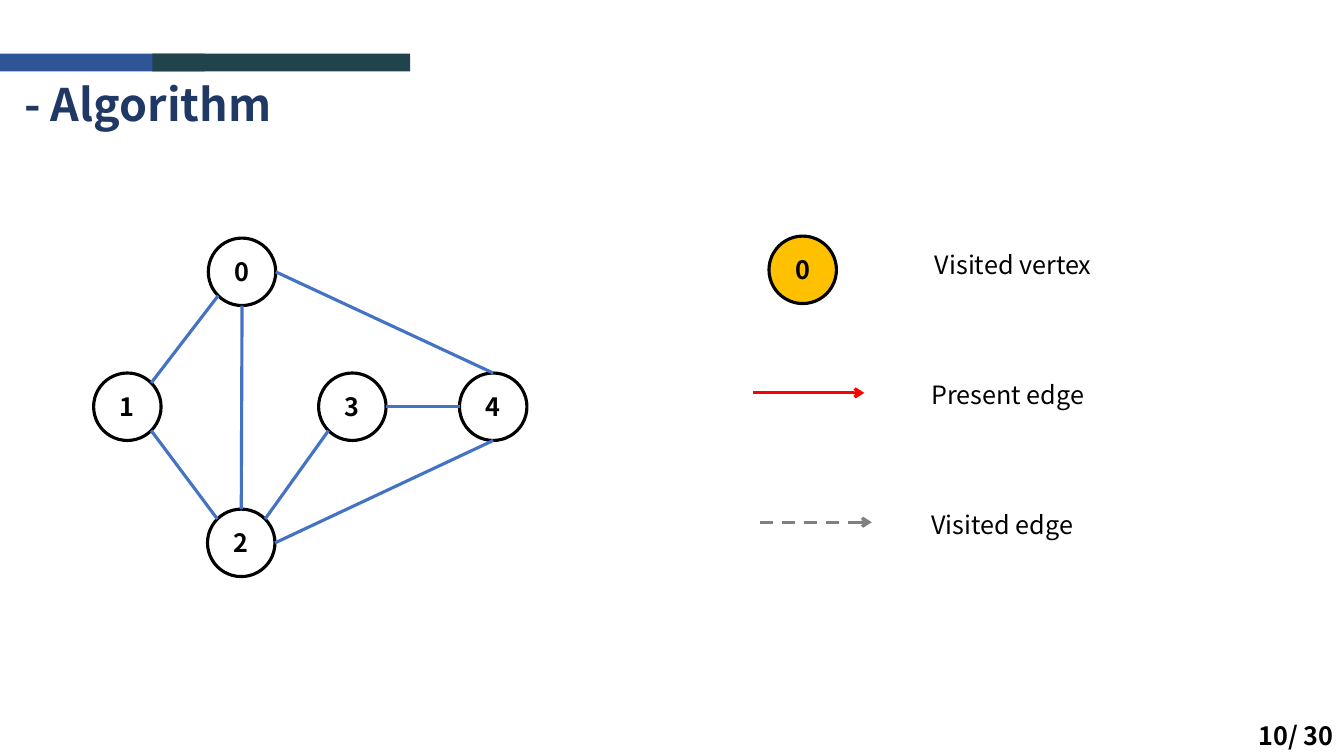
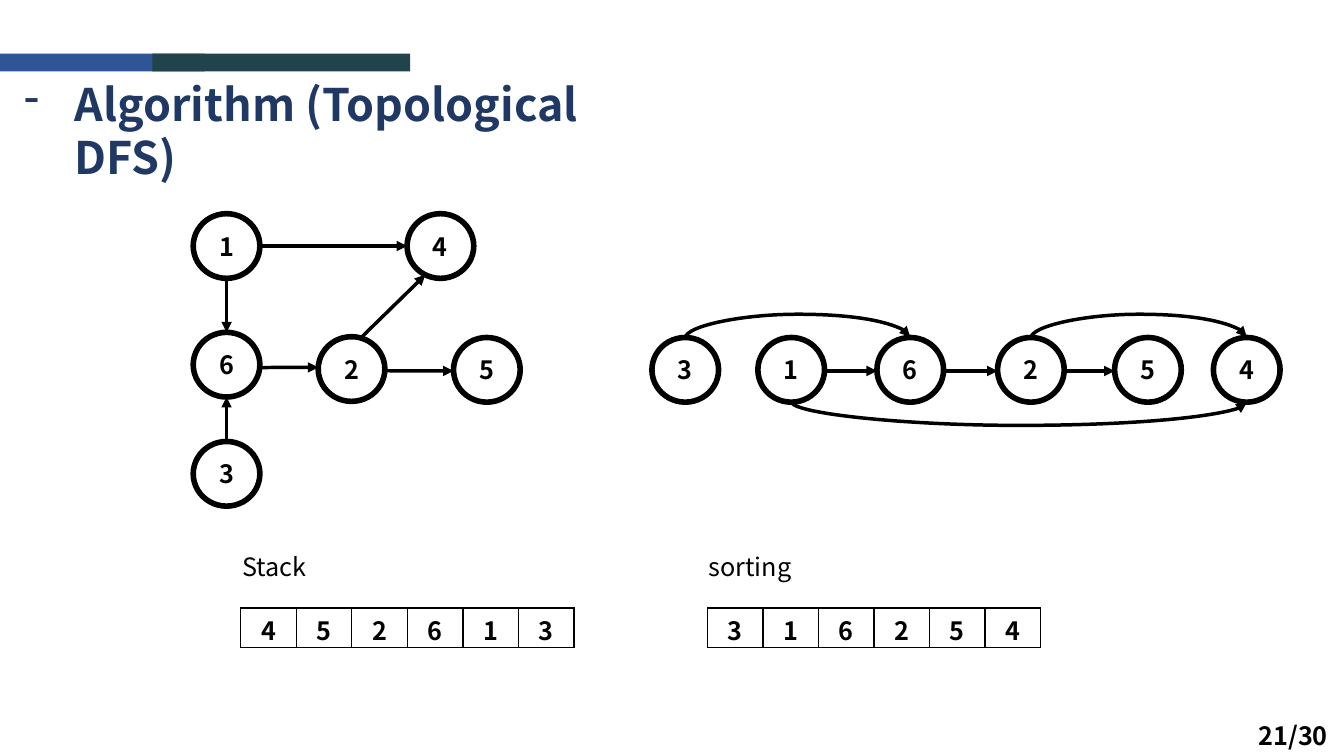
import math
from dataclasses import dataclass

import pptx
import pptx.dml.color
import pptx.enum.dml
import pptx.enum.shapes
import pptx.enum.text
import pptx.oxml
import pptx.oxml.ns
import pptx.util
from pptx.util import Cm, Pt

FONT = "Noto Sans CJK KR"
COLORS = {
    "title": "203864",
    "band_blue": "2F5597",
    "band_green": "21434B",
    "black": "000000",
    "white": "FFFFFF",
    "edge": "4472C4",
    "visited": "FFC000",
    "present": "FF0000",
    "grey": "808080",
}
# Angles on a node's outline, clockwise from the right
E, SE, S, SW, W, NW, N, NE = range(0, 360, 45)
ARC_HEIGHT, ARC_BOX = 0.6, 0.03


@dataclass(frozen=True)
class NodeStyle:
    width: float
    height: float
    line: float
    fill: str | None = None


@dataclass(frozen=True)
class Node:
    label: str
    x: float
    y: float
    style: NodeStyle

    def point(self, angle: int) -> tuple[float, float]:
        a = math.radians(angle)
        return (self.x + self.style.width / 2 * math.cos(a),
                self.y + self.style.height / 2 * math.sin(a))


@dataclass(frozen=True)
class Edge:
    start: str
    start_angle: int
    end: str
    end_angle: int


@dataclass(frozen=True)
class LineStyle:
    color: str
    width: float
    head: str | None = None
    dashed: bool = False


PLAIN = NodeStyle(1.7, 1.7, 2.25, "white")
VISITED = NodeStyle(1.7, 1.7, 2.25, "visited")
BOLD = NodeStyle(1.68, 1.63, 4)
EDGE = LineStyle("edge", 2.25)
ARROW = LineStyle("black", 2.5, "triangle")


def rgb(name: str):
    return pptx.dml.color.RGBColor.from_string(COLORS[name])


def add_xml(parent, tag: str, **attrs: str):
    return pptx.oxml.ns.qn(tag) and parent.makeelement(
        pptx.oxml.ns.qn(tag), attrs)


def append(parent, tag: str, **attrs: str):
    element = add_xml(parent, tag, **attrs)
    parent.append(element)
    return element


def write(tf, text: str, size: float = 18, color: str = "black",
          bold: bool = False, centred: bool = False) -> None:
    p = tf.paragraphs[0]
    p.text = text
    if centred:
        p.alignment = pptx.enum.text.PP_ALIGN.CENTER
    for r in p.runs:
        r.font.name, r.font.size, r.font.bold = FONT, Pt(size), bold
        r.font.color.rgb = rgb(color)


def add_text(s, x: float, y: float, w: float, h: float, text: str, **style):
    tf = s.shapes.add_textbox(Cm(x), Cm(y), Cm(w), Cm(h)).text_frame
    tf.word_wrap = True
    write(tf, text, **style)
    return tf


def add_node(s, node: Node):
    st = node.style
    sp = s.shapes.add_shape(
        pptx.enum.shapes.MSO_SHAPE.OVAL, Cm(node.x - st.width / 2),
        Cm(node.y - st.height / 2), Cm(st.width), Cm(st.height))
    sp.shadow.inherit = False
    if st.fill:
        sp.fill.solid()
        sp.fill.fore_color.rgb = rgb(st.fill)
    else:
        sp.fill.background()
    sp.line.color.rgb = rgb("black")
    sp.line.width = Pt(st.line)
    tf = sp.text_frame
    tf.margin_left = tf.margin_right = tf.margin_top = tf.margin_bottom = 0
    tf.vertical_anchor = pptx.enum.text.MSO_ANCHOR.MIDDLE
    write(tf, node.label, bold=True, centred=True)
    return sp


def style_line(c, style: LineStyle) -> None:
    c.line.color.rgb = rgb(style.color)
    c.line.width = Pt(style.width)
    if style.dashed:
        c.line.dash_style = pptx.enum.dml.MSO_LINE.DASH
    if style.head:
        append(c.line._get_or_add_ln(), "a:tailEnd", type=style.head)
    append(c._element.spPr, "a:effectLst")


def add_line(s, start: tuple[float, float], end: tuple[float, float],
             style: LineStyle) -> None:
    c = s.shapes.add_connector(pptx.enum.shapes.MSO_CONNECTOR.STRAIGHT,
                               *(Cm(v) for v in (*start, *end)))
    style_line(c, style)


def add_arc(s, start: Node, end: Node, side: int, ends: tuple) -> None:
    """Curved arrow over (N) or under (S) the nodes between two ends."""
    (x1, y), (x2, _) = start.point(side), end.point(side)
    middle, span = (x1 + x2) / 2, x2 - x1
    left = middle - ARC_BOX / 2
    c = s.shapes.add_connector(
        pptx.enum.shapes.MSO_CONNECTOR.CURVE, Cm(left), Cm(y - span / 2),
        Cm(left + ARC_BOX), Cm(y + span / 2))
    xfrm = c._element.spPr.find(pptx.oxml.ns.qn("a:xfrm"))
    xfrm.set("rot", str((90 if side == N else 270) * 60000))
    xfrm.set("flipH", "1")
    if side == N:
        xfrm.set("flipV", "1")
    guides = c._element.spPr.prstGeom.get_or_add_avLst()
    append(guides, "a:gd", name="adj1",
           fmla=f"val {round(ARC_HEIGHT / ARC_BOX * 100000)}")
    glue = c._element.nvCxnSpPr.cNvCxnSpPr
    for tag, sp in zip(("a:stCxn", "a:endCxn"), ends):
        append(glue, tag, id=str(sp.shape_id), idx="0" if side == N else "4")
    style_line(c, ARROW)


def add_graph(s, nodes: list[Node], edges: list[Edge], style: LineStyle,
              arcs: tuple[tuple[str, str, int], ...] = ()) -> None:
    by_label = {n.label: n for n in nodes}
    shapes = {n.label: add_node(s, n) for n in nodes}
    for e in edges:
        add_line(s, by_label[e.start].point(e.start_angle),
                 by_label[e.end].point(e.end_angle), style)
    for a, b, side in arcs:
        add_arc(s, by_label[a], by_label[b], side, (shapes[a], shapes[b]))


def add_list(s, x: float, label: str, values: str) -> None:
    """Caption above a one-row table of single digits."""
    add_text(s, x - 0.22, 13.77, 7.06, 1.02, label)
    table = s.shapes.add_table(1, len(values), Cm(x), Cm(15.32),
                               Cm(1.4 * len(values)), Cm(1)).table
    table.first_row = table.horz_banding = False
    for cell, value in zip(table.rows[0].cells, values):
        cell.margin_left = cell.margin_right = Cm(0.18)
        cell.margin_top = cell.margin_bottom = Cm(0.09)
        cell.vertical_anchor = pptx.enum.text.MSO_ANCHOR.MIDDLE
        write(cell.text_frame, value, bold=True, centred=True)
        tcPr = cell._tc.get_or_add_tcPr()
        for side in ("L", "R", "T", "B"):
            ln = append(tcPr, f"a:ln{side}", w=str(Pt(1)))
            append(append(ln, "a:solidFill"), "a:srgbClr",
                   val=COLORS["black"])
        cell.fill.background()


def add_base(prs, title: str, title_width: float, page: str,
             bullet: bool = False):
    """New slide with title, double band and page number."""
    s = prs.slides.add_slide(prs.slide_layouts[6])
    tf = add_text(s, 0.36, 1.8, title_width, 1.62, title, size=32,
                  color="title", bold=True)
    if bullet:
        pPr = tf.paragraphs[0]._p.get_or_add_pPr()
        pPr.set("marL", str(Cm(1.27)))
        pPr.set("indent", str(Cm(-1.27)))
        append(pPr, "a:buFontTx")
        append(pPr, "a:buChar", char="-")
    for x, w, color in ((0, 5.16, "band_blue"), (3.84, 6.5, "band_green")):
        sp = s.shapes.add_shape(pptx.enum.shapes.MSO_SHAPE.RECTANGLE,
                                Cm(x), Cm(1.35), Cm(w), Cm(0.45))
        sp.shadow.inherit = False
        sp.fill.solid()
        sp.fill.fore_color.rgb = rgb(color)
        sp.line.fill.background()
    add_text(s, 31.47, 18.03, 2.82, 1.02, page, bold=True)
    return s


def build_legend_slide(prs) -> None:
    s = add_base(prs, "- Algorithm", 14.2, "10/ 30")
    # Undirected graph
    nodes = [Node("1", 3.21, 10.25, PLAIN), Node("3", 8.88, 10.25, PLAIN),
             Node("2", 6.08, 13.68, PLAIN), Node("4", 12.43, 10.25, PLAIN),
             Node("0", 6.1, 6.85, PLAIN)]
    edges = [Edge("1", SE, "2", NW), Edge("2", NE, "3", SW),
             Edge("0", S, "2", N), Edge("0", E, "4", N),
             Edge("2", E, "4", S), Edge("3", E, "4", W),
             Edge("0", SW, "1", NE)]
    add_graph(s, nodes, edges, EDGE)
    # Legend
    add_node(s, Node("0", 20.23, 6.8, VISITED))
    add_line(s, (18.97, 9.9), (21.78, 9.9),
             LineStyle("present", 2.25, "arrow"))
    add_line(s, (19.16, 13.16), (21.97, 13.16),
             LineStyle("grey", 2.25, "arrow", dashed=True))
    for x, y, text in ((23.31, 6.17, "Visited vertex"),
                       (23.22, 9.43, "Present edge"),
                       (23.22, 12.7, "Visited edge")):
        add_text(s, x, y, 6.4, 1.02, text)


def build_topological_slide(prs) -> None:
    s = add_base(prs, "Algorithm (Topological DFS)", 17, "21/30", bullet=True)
    # Directed graph
    nodes = [Node("1", 5.71, 6.2, BOLD), Node("2", 8.86, 9.3, BOLD),
             Node("4", 11.1, 6.2, BOLD), Node("5", 12.27, 9.32, BOLD),
             Node("3", 5.71, 11.94, BOLD), Node("6", 5.71, 9.19, BOLD)]
    edges = [Edge("1", E, "4", W), Edge("6", 5, "2", 183),
             Edge("2", 3, "5", 178), Edge("1", S, "6", N),
             Edge("3", N, "6", S), Edge("2", 286, "4", 117)]
    add_graph(s, nodes, edges, ARROW)
    # Nodes in topological order
    order = "316254"
    centres = (17.27, 19.94, 22.94, 25.98, 28.93, 31.42)
    row = [Node(label, x, 9.32, BOLD) for label, x in zip(order, centres)]
    steps = [Edge(a, 2, b, 178) for a, b in ("16", "62", "25")]
    add_graph(s, row, steps, ARROW,
              (("3", "6", N), ("1", "4", S), ("2", "4", N)))
    # Stack and result
    add_list(s, 6.07, "Stack", "452613")
    add_list(s, 17.83, "sorting", order)


def main() -> None:
    prs = pptx.Presentation()
    prs.slide_width, prs.slide_height = Cm(33.87), Cm(19.05)
    build_legend_slide(prs)
    build_topological_slide(prs)
    prs.save("out.pptx")


if __name__ == "__main__":
    main()
